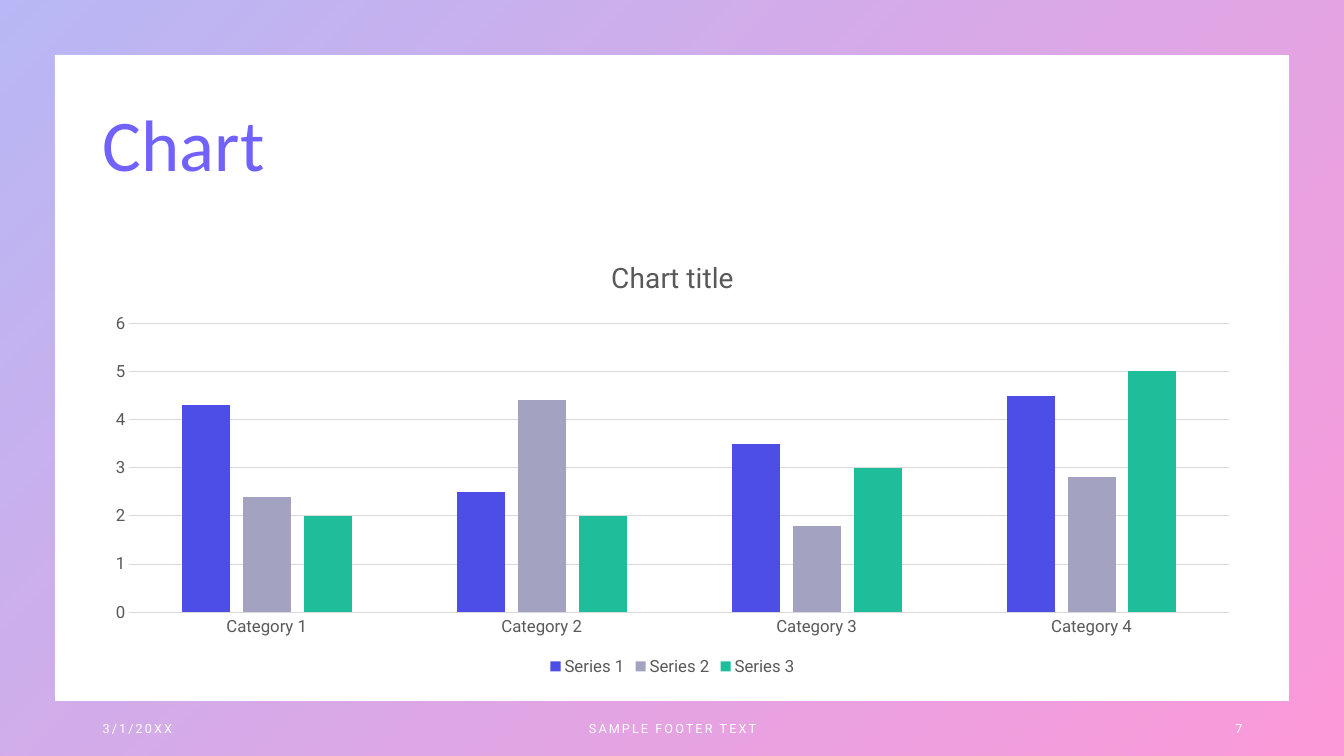
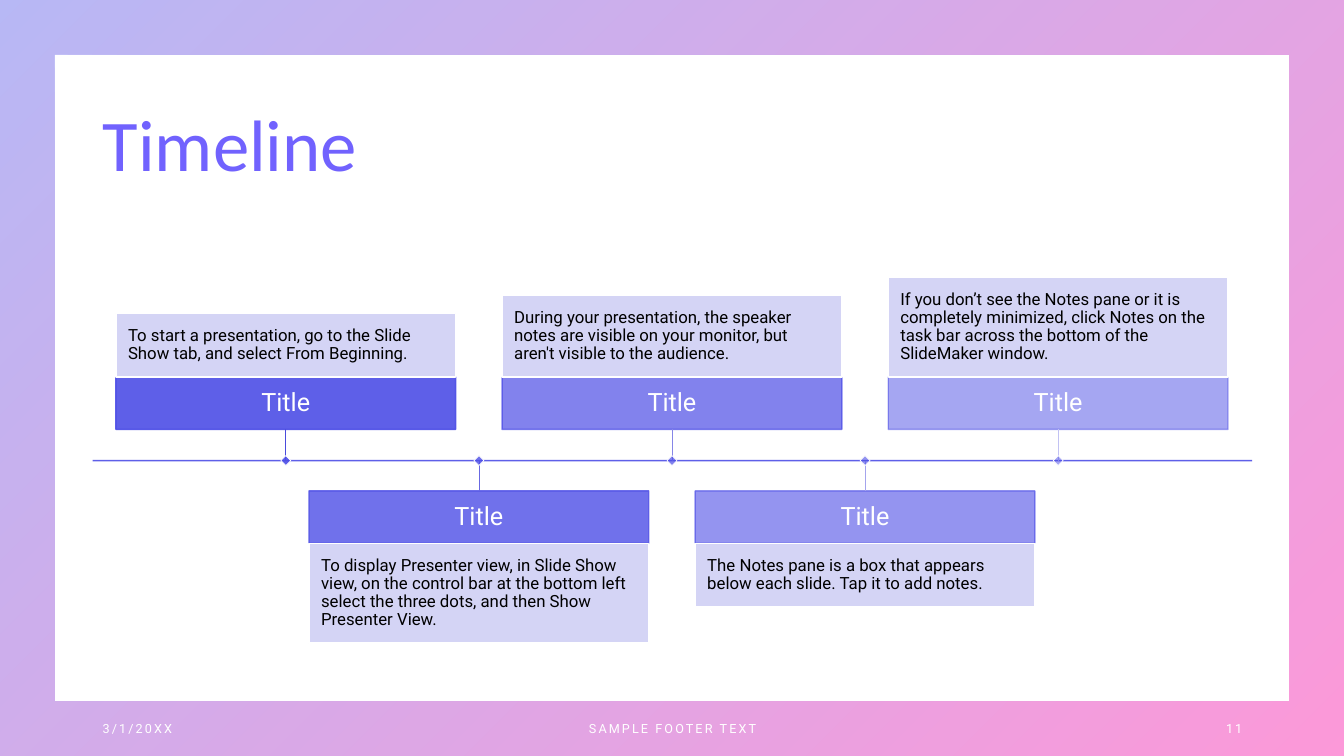
from lxml.etree import SubElement
from pptx import Presentation
from pptx.chart.data import CategoryChartData
from pptx.dml.color import RGBColor
from pptx.enum.chart import XL_CHART_TYPE, XL_LEGEND_POSITION, XL_TICK_MARK
from pptx.enum.shapes import MSO_CONNECTOR, MSO_SHAPE
from pptx.enum.text import MSO_ANCHOR, PP_ALIGN
from pptx.oxml.ns import qn
from pptx.util import Inches, Pt

COLORS = {
    "indigo": "4D4EE6", "pink": "F900A0", "violet": "7162FE",
    "lavender": "D0D0F5", "mauve": "A3A3C1", "green": "1EBE9B",
    "white": "FFFFFF", "black": "000000", "gray": "595959", "grid": "D9D9D9",
}
STEM_COLORS = ["4A4BDC", "6868E2", "8686E7", "A4A4ED", "C2C2F3"]
TITLE_FONT, BODY_FONT = "Calibri", "Roboto"
SLIDE_W, SLIDE_H = 13.33, 7.5
MARGIN, CONTENT_W = 0.92, 11.5

# Timeline geometry, in inches
AXIS_Y = 4.57
CARD_W, HEADING_H = 3.37, 0.52
FIRST_CARD_X, CARD_STEP = 1.15, 7.66 / 4
HEADING_TOPS = (3.74, 4.87)  # above and below the axis
LINE_H, BODY_PADDING = 0.18, 0.27
MARKER = 0.07

MILESTONES = [  # text and number of lines it fills
    ("To start a presentation, go to the Slide Show tab, and select From Beginning.", 2),
    ("To display Presenter view, in Slide Show view, on the control bar at the bottom left "
     "select the three dots, and then Show Presenter View.", 4),
    ("During your presentation, the speaker notes are visible on your monitor, "
     "but aren't visible to the audience.", 3),
    ("The Notes pane is a box that appears below each slide. Tap it to add notes.", 2),
    ("If you don’t see the Notes pane or it is completely minimized, click Notes on the "
     "task bar across the bottom of the SlideMaker window.", 4),
]
SERIES = [
    ("Series 1", (4.3, 2.5, 3.5, 4.5), "indigo"),
    ("Series 2", (2.4, 4.4, 1.8, 2.8), "mauve"),
    ("Series 3", (2, 2, 3, 5), "green"),
]


def rgb(name):
    return RGBColor.from_string(COLORS.get(name, name))


def set_alpha(color_parent, *percents):
    """Give each colour inside an element its opacity, in order."""
    for color, percent in zip(color_parent.iter(qn("a:srgbClr")), percents):
        SubElement(color, qn("a:alpha")).set("val", str(percent * 1000))


def fill_gradient(fill, start, end, angle):
    fill.gradient()
    fill.gradient_angle = angle
    for stop, color in zip(fill.gradient_stops, (start, end)):
        stop.color.rgb = rgb(color)


def style_font(font, size, color, name=BODY_FONT):
    font.name, font.size, font.bold = name, Pt(size), False
    font.color.rgb = rgb(color)


def write(frame, text, size, color, align=PP_ALIGN.LEFT, inset=None, spacing=None):
    frame.word_wrap = True
    frame.vertical_anchor = MSO_ANCHOR.MIDDLE
    if inset is not None:
        frame.margin_left = frame.margin_right = Inches(inset)
        frame.margin_top = frame.margin_bottom = Inches(inset)
    paragraph = frame.paragraphs[0]
    paragraph.alignment = align
    paragraph.line_spacing = spacing
    run = paragraph.add_run()
    run.text = text
    style_font(run.font, size, color)
    return run


def add_box(slide, x, y, w, h, fill, opacity, line, line_width, line_opacity=100):
    box = slide.shapes.add_shape(MSO_SHAPE.RECTANGLE, Inches(x), Inches(y), Inches(w), Inches(h))
    box.shadow.inherit = False
    box.fill.solid()
    box.fill.fore_color.rgb = rgb(fill)
    box.line.color.rgb = rgb(line)
    box.line.width = Pt(line_width)
    set_alpha(box._element.spPr, opacity, line_opacity)
    return box


def add_line(slide, x1, y1, x2, y2, color, width, opacity=100):
    line = slide.shapes.add_connector(
        MSO_CONNECTOR.STRAIGHT, Inches(x1), Inches(y1), Inches(x2), Inches(y2))
    line.line.color.rgb = rgb(color)
    line.line.width = Pt(width)
    properties = line._element.spPr
    set_alpha(properties, opacity)
    SubElement(properties, qn("a:effectLst"))
    return line


def add_framed_slide(prs, heading, number):
    """Slide with the gradient border, title and footer all slides share."""
    slide = prs.slides.add_slide(prs.slide_layouts[5])

    # Border
    border = slide.shapes.add_shape(
        MSO_SHAPE.FRAME, 0, 0, prs.slide_width, prs.slide_height)
    border.adjustments[0] = 0.072
    border.shadow.inherit = False
    border.line.fill.background()
    fill_gradient(border.fill, "indigo", "pink", 315)
    set_alpha(border._element.spPr, 40, 40)

    # Title
    title = slide.shapes.title
    title.left, title.top = Inches(MARGIN), Inches(0.74)
    title.width, title.height = Inches(CONTENT_W), Inches(1.45)
    run = write(title.text_frame, heading, 52, "violet", spacing=0.9)
    run.font.name = TITLE_FONT
    fill_gradient(run.font.fill, "violet", "pink", 0)
    set_alpha(run._r, 100, 70)

    # Footer
    for text, x, w, align in (
        ("3/1/20XX", MARGIN, 3, PP_ALIGN.LEFT),
        ("SAMPLE FOOTER TEXT", 4.42, 4.5, PP_ALIGN.CENTER),
        (str(number), 9.42, 3, PP_ALIGN.RIGHT),
    ):
        footer = slide.shapes.add_textbox(Inches(x), Inches(7.03), Inches(w), Inches(0.4))
        run = write(footer.text_frame, text, 9, "white", align)
        run._r.get_or_add_rPr().set("spc", "150")
    return slide


def add_column_chart(slide):
    data = CategoryChartData()
    data.categories = [f"Category {n}" for n in range(1, 5)]
    for name, values, _ in SERIES:
        data.add_series(name, values)
    chart = slide.shapes.add_chart(
        XL_CHART_TYPE.COLUMN_CLUSTERED, Inches(MARGIN), Inches(2.38),
        Inches(CONTENT_W), Inches(4.37), data).chart
    style_font(chart.font, 12, "gray")

    # Chart title and legend
    chart.has_title = True
    run = chart.chart_title.text_frame.paragraphs[0].add_run()
    run.text = "Chart title"
    style_font(run.font, 20, "gray")
    chart.chart_title.include_in_layout = False
    chart.has_legend = True
    chart.legend.position = XL_LEGEND_POSITION.BOTTOM
    chart.legend.include_in_layout = False
    style_font(chart.legend.font, 12, "gray")

    # Columns
    plot = chart.plots[0]
    plot.gap_width, plot.overlap = 219, -27
    plot.vary_by_categories = False
    for series, (_, _, color) in zip(plot.series, SERIES):
        series.format.fill.solid()
        series.format.fill.fore_color.rgb = rgb(color)

    # Axes
    values = chart.value_axis
    values.minimum_scale, values.maximum_scale, values.major_unit = 0, 6, 1
    values.has_major_gridlines = True
    values.format.line.fill.background()
    for axis in (chart.category_axis, values):
        axis.major_tick_mark = axis.minor_tick_mark = XL_TICK_MARK.NONE
        style_font(axis.tick_labels.font, 12, "gray")
    for line in (chart.category_axis.format.line, values.major_gridlines.format.line):
        line.color.rgb = rgb("grid")
        line.width = Pt(0.75)


def add_milestone(slide, index, text, line_count):
    below = index % 2
    opacity = 90 - 10 * index
    x, y = FIRST_CARD_X + index * CARD_STEP, HEADING_TOPS[below]
    center = x + CARD_W / 2
    body_h = BODY_PADDING + LINE_H * line_count
    body_y = y + HEADING_H if below else y - body_h

    # Card
    heading = add_box(slide, x, y, CARD_W, HEADING_H, "indigo", opacity, "indigo", 1, opacity)
    write(heading.text_frame, "Title", 18, "white", PP_ALIGN.CENTER, 0.1, 0.9)
    body = add_box(slide, x, body_y, CARD_W, body_h, "lavender", 90, "white", 1)
    write(body.text_frame, text, 12, "black", inset=0.12, spacing=0.9)

    # Stem and marker
    edge = y if below else y + HEADING_H
    stem = add_line(slide, center, edge, center, AXIS_Y, STEM_COLORS[index], 0.5)
    stem.begin_connect(heading, 0 if below else 2)
    marker = add_box(slide, center - MARKER / 2, AXIS_Y - MARKER / 2, MARKER, MARKER,
                     "indigo", opacity, "white", 0.5)
    marker.rotation = 45


def add_timeline(slide):
    add_line(slide, MARGIN, AXIS_Y, MARGIN + CONTENT_W, AXIS_Y, "indigo", 1, 90)
    for index, (text, line_count) in enumerate(MILESTONES):
        add_milestone(slide, index, text, line_count)


def main():
    prs = Presentation()
    prs.slide_width, prs.slide_height = Inches(SLIDE_W), Inches(SLIDE_H)
    add_column_chart(add_framed_slide(prs, "Chart", 7))
    add_timeline(add_framed_slide(prs, "Timeline", 11))
    prs.save("out.pptx")


if __name__ == "__main__":
    main()
